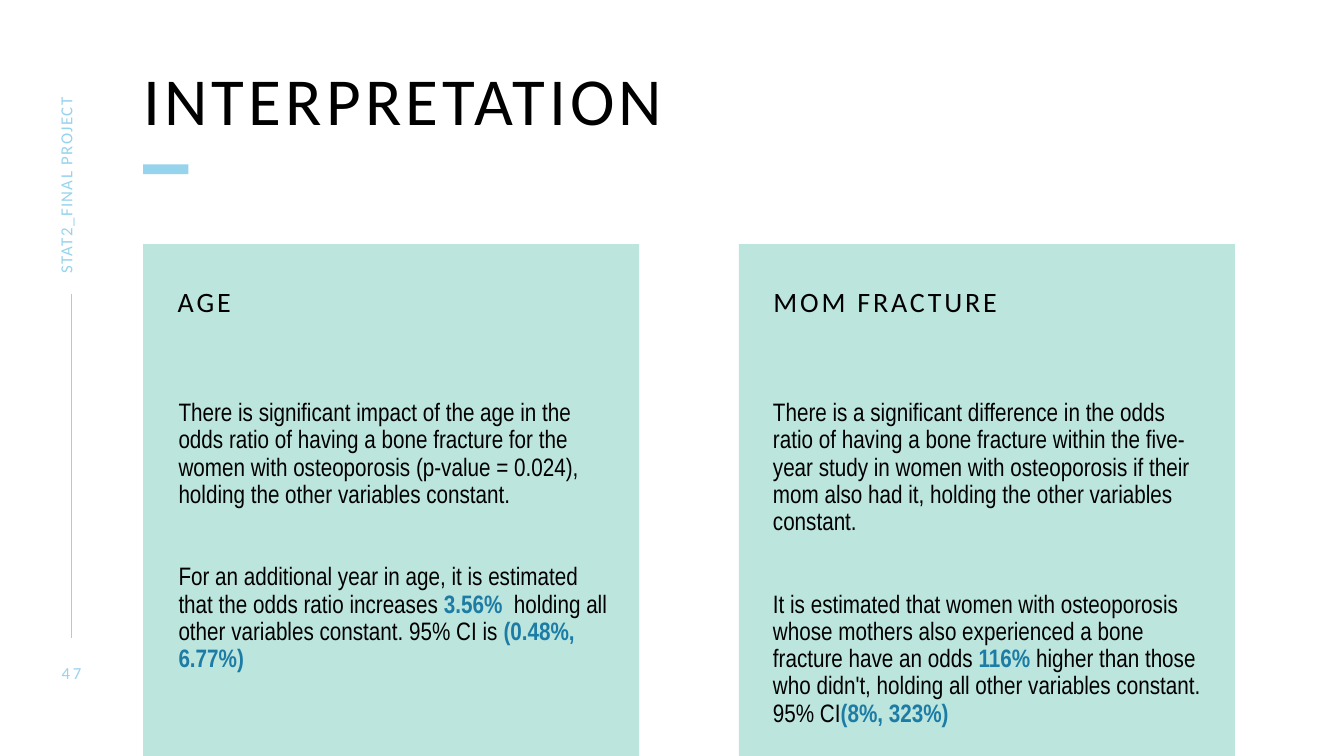
from dataclasses import dataclass

import pptx
import pptx.dml.color
import pptx.enum.shapes
import pptx.enum.text
import pptx.oxml.ns
import pptx.shapes.autoshape
import pptx.slide
import pptx.text.text
import pptx.util
from lxml import etree

Cm = pptx.util.Cm
Pt = pptx.util.Pt
Align = pptx.enum.text.PP_ALIGN
Anchor = pptx.enum.text.MSO_ANCHOR

BLACK = "000000"
SKY = "96D3ED"
MINT = "BCE5DD"
BLUE = "1C7CA5"

PANEL_TOP, PANEL_WIDTH, PANEL_HEIGHT = 6.15, 12.5, 12.9
FINDING_TOP, FINDING_WIDTH, FINDING_HEIGHT = 10.08, 10.82, 6.98


@dataclass(frozen=True)
class Span:
    text: str
    key: bool = False


@dataclass(frozen=True)
class Predictor:
    heading: str
    panel_left: float
    finding_left: float
    paragraphs: list[list[Span]]


PREDICTORS = [
    Predictor("AGE", 3.61, 4.5, [
        [Span("There is significant impact of the age in the odds ratio of having a bone "
              "fracture for the women with osteoporosis (p-value = 0.024), holding the "
              "other variables constant.")],
        [Span("For an additional year in age, it is estimated that the odds ratio increases "),
         Span("3.56%  ", key=True),
         Span("holding all other variables constant. 95% CI is "),
         Span("(0.48%, 6.77%)", key=True)],
    ]),
    Predictor("MOM FRACTURE", 18.62, 19.48, [
        [Span("There is a significant difference in the odds ratio of having a bone fracture "
              "within the five-year study in women with osteoporosis if their mom also had "
              "it, holding the other variables constant.")],
        [Span("It is estimated that women with osteoporosis whose mothers also experienced "
              "a bone fracture have an odds "),
         Span("116% ", key=True),
         Span("higher than those who didn't, holding all other variables constant. 95% CI"),
         Span("(8%, 323%)", key=True)],
    ]),
]


def rgb(value: str) -> pptx.dml.color.RGBColor:
    return pptx.dml.color.RGBColor.from_string(value)


def write(paragraph: pptx.text.text._Paragraph, text: str, *, size: float,
          font: str = "Calibri", color: str = BLACK, bold: bool = False,
          tracking: float = 0, align: Align = Align.LEFT,
          line_spacing: float | pptx.util.Length = 1.0) -> None:
    paragraph.alignment = align
    paragraph.line_spacing = line_spacing
    run = paragraph.add_run()
    run.text = text
    run.font.size = Pt(size)
    run.font.name = font
    run.font.bold = bold
    run.font.color.rgb = rgb(color)
    if tracking:
        run.font._element.set("spc", str(round(tracking * 100)))


def set_frame(frame: pptx.text.text.TextFrame, anchor: Anchor = Anchor.TOP,
              left: float = 0, top: float = 0, right: float = 0) -> None:
    frame.word_wrap = True
    frame.vertical_anchor = anchor
    frame.margin_left, frame.margin_top = Cm(left), Cm(top)
    frame.margin_right, frame.margin_bottom = Cm(right), Cm(0)


def add_text_area(slide: pptx.slide.Slide, left: float, top: float, width: float,
                  height: float, anchor: Anchor = Anchor.TOP,
                  rotation: float = 0) -> pptx.text.text.TextFrame:
    area = slide.shapes.add_textbox(Cm(left), Cm(top), Cm(width), Cm(height))
    area.rotation = rotation
    set_frame(area.text_frame, anchor)
    return area.text_frame


def add_block(slide: pptx.slide.Slide, left: float, top: float, width: float,
              height: float, fill: str) -> pptx.shapes.autoshape.Shape:
    block = slide.shapes.add_shape(pptx.enum.shapes.MSO_SHAPE.RECTANGLE,
                                   Cm(left), Cm(top), Cm(width), Cm(height))
    block.shadow.inherit = False
    block.fill.solid()
    block.fill.fore_color.rgb = rgb(fill)
    block.line.fill.background()
    return block


def add_margin_rule(slide: pptx.slide.Slide) -> None:
    rule = slide.shapes.add_connector(pptx.enum.shapes.MSO_CONNECTOR.STRAIGHT,
                                      Cm(1.8), Cm(7.42), Cm(1.8), Cm(16.08))
    rule.line.color.rgb = rgb(SKY)
    rule.line.width = Pt(1)
    etree.SubElement(rule._element.spPr, pptx.oxml.ns.qn("a:effectLst"))


def add_predictor(slide: pptx.slide.Slide, predictor: Predictor) -> None:
    panel = add_block(slide, predictor.panel_left, PANEL_TOP, PANEL_WIDTH, PANEL_HEIGHT, MINT)
    set_frame(panel.text_frame, left=0.87, top=1.02, right=0.76)
    write(panel.text_frame.paragraphs[0], predictor.heading, size=20, tracking=2,
          line_spacing=Pt(24))

    finding = add_text_area(slide, predictor.finding_left, FINDING_TOP,
                            FINDING_WIDTH, FINDING_HEIGHT)
    for index, spans in enumerate(predictor.paragraphs):
        paragraph = finding.add_paragraph() if index else finding.paragraphs[0]
        paragraph.space_before = Pt(39.5 if index else 10)
        for span in spans:
            write(paragraph, span.text, size=18, font="Arial Narrow", bold=span.key,
                  color=BLUE if span.key else BLACK, line_spacing=0.9)


def main() -> None:
    presentation = pptx.Presentation()
    presentation.slide_width, presentation.slide_height = Cm(33.87), Cm(19.05)
    slide = presentation.slides.add_slide(presentation.slide_layouts[6])

    add_margin_rule(slide)
    add_block(slide, 3.61, 4.14, 1.14, 0.25, SKY)
    title = add_text_area(slide, 3.61, 1.7, 18.49, 1.47)
    write(title.paragraphs[0], "INTERPRETATION", size=48, tracking=3, line_spacing=0.9)

    for predictor in PREDICTORS:
        add_predictor(slide, predictor)

    page_number = add_text_area(slide, 1.17, 16.71, 1.27, 0.51, Anchor.MIDDLE)
    write(page_number.paragraphs[0], "47", size=12, color=SKY, tracking=2, align=Align.CENTER)
    project = add_text_area(slide, -1.37, 3.68, 6.05, 0.36, Anchor.MIDDLE, rotation=270)
    write(project.paragraphs[0], "STAT2_FINAL PROJECT", size=12, color=SKY, tracking=1)

    presentation.save("out.pptx")


if __name__ == "__main__":
    main()
